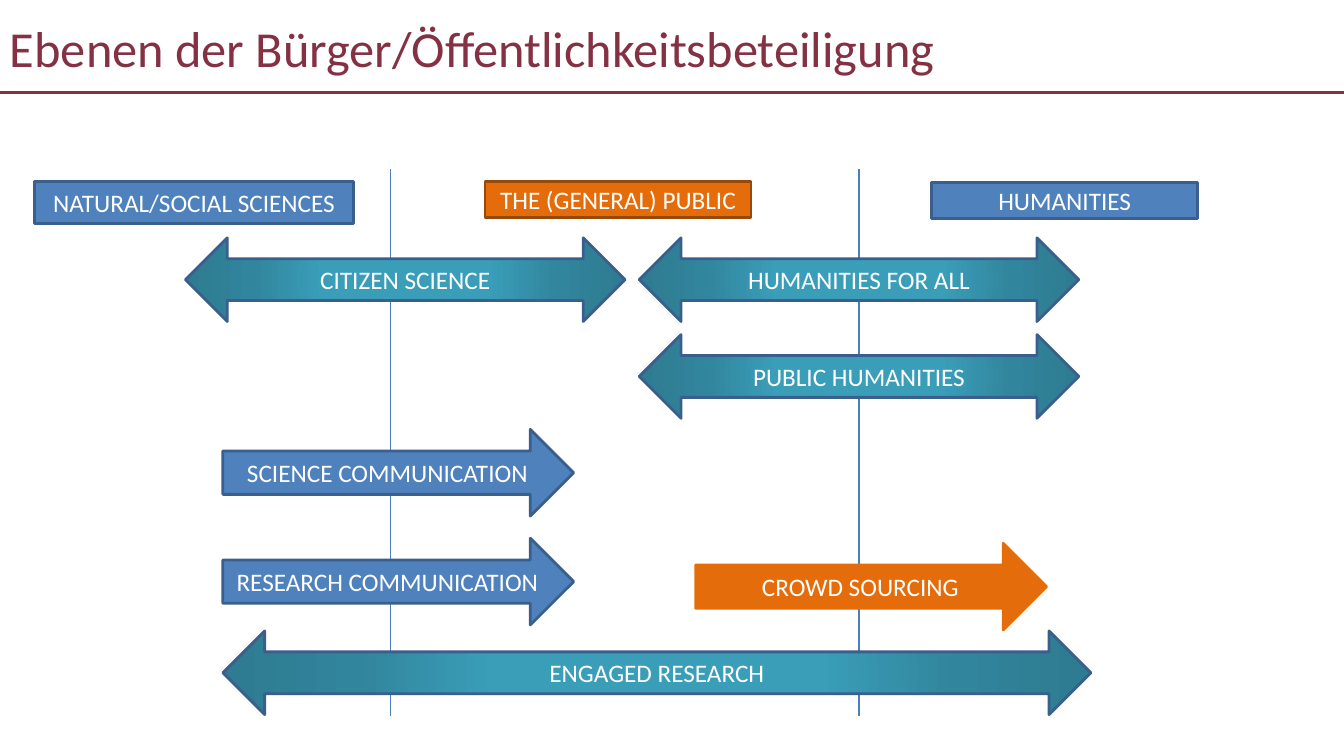
from pptx import Presentation
from pptx.dml.color import RGBColor
from pptx.enum import shapes, text
from pptx.oxml import parse_xml
from pptx.oxml.ns import nsdecls, qn
from pptx.util import Inches, Pt

WINE = RGBColor(0x84, 0x31, 0x44)
BLUE = RGBColor(0x4F, 0x81, 0xBD)
NAVY = RGBColor(0x3A, 0x5F, 0x8C)
DIVIDER = RGBColor(0x4B, 0x7E, 0xBC)
ORANGE = RGBColor(0xE4, 0x6C, 0x0A)
BROWN = RGBColor(0x98, 0x48, 0x07)
WHITE = RGBColor(0xFF, 0xFF, 0xFF)
TEAL_STOPS = [(37, "3A9EB9"), (69, "31859C"), (97, "2E7C91")]

WIDTH, HEIGHT = 13.33, 7.5
FONT = "Calibri"
BOX = shapes.MSO_SHAPE.RECTANGLE
RIGHT = shapes.MSO_SHAPE.RIGHT_ARROW
BOTH = shapes.MSO_SHAPE.LEFT_RIGHT_ARROW


def add_line(s, x1, y1, x2, y2, color, width):
    line = s.shapes.add_connector(shapes.MSO_CONNECTOR.STRAIGHT,
                                  *[Inches(v) for v in (x1, y1, x2, y2)])
    line.line.color.rgb = color
    line.line.width = Pt(width)
    line._element.spPr.append(parse_xml(f"<a:effectLst {nsdecls('a')}/>"))


def write(sp, words, size, color, align):
    tf = sp.text_frame
    tf.word_wrap = True
    tf.vertical_anchor = text.MSO_ANCHOR.MIDDLE
    p = tf.paragraphs[0]
    p.alignment = align
    r = p.add_run()
    r.text = words
    r.font.name, r.font.size = FONT, Pt(size)
    r.font.color.rgb = color


def fill_teal(sp):
    """Circular gradient from the centre outwards."""
    stops = "".join(f'<a:gs pos="{pos * 1000}"><a:srgbClr val="{rgb}"/></a:gs>'
                    for pos, rgb in TEAL_STOPS)
    sp.fill.solid()
    spPr = sp._element.spPr
    spPr.replace(spPr.find(qn("a:solidFill")), parse_xml(
        f'<a:gradFill {nsdecls("a")} rotWithShape="1"><a:gsLst>{stops}</a:gsLst>'
        '<a:path path="circle"><a:fillToRect l="50000" t="50000" r="50000" b="50000"/>'
        '</a:path></a:gradFill>'))


def add_label(s, kind, words, x, y, w, h, fill=None, outline=NAVY):
    sp = s.shapes.add_shape(kind, *[Inches(v) for v in (x, y, w, h)])
    sp.shadow.inherit = False
    if fill is None:
        fill_teal(sp)
    else:
        sp.fill.solid()
        sp.fill.fore_color.rgb = fill
    sp.line.color.rgb = outline
    sp.line.width = Pt(2)
    write(sp, words, 18, WHITE, text.PP_ALIGN.CENTER)


def add_title(s, x, y, w, h):
    add_line(s, x, y + h - 0.02, x + WIDTH, y + h - 0.02, WINE, 2.5)
    sp = s.shapes.add_textbox(*[Inches(v) for v in (x, y, w, h)])
    write(sp, "Ebenen der Bürger/Öffentlichkeitsbeteiligung", 36, WINE,
          text.PP_ALIGN.LEFT)


def add_diagram(s, x, y, h):
    # Dividers between the three areas
    for dx in (3.53, 8.18):
        add_line(s, x + dx, y, x + dx, y + h, DIVIDER, 0.75)

    # Area headings
    for words, dx, dy, w, bh, fill, outline in [
            ("NATURAL/SOCIAL SCIENCES", 0, 0.12, 3.17, 0.42, BLUE, NAVY),
            ("THE (GENERAL) PUBLIC", 4.47, 0.12, 2.64, 0.36, ORANGE, BROWN),
            ("HUMANITIES", 8.9, 0.13, 2.64, 0.36, BLUE, NAVY)]:
        add_label(s, BOX, words, x + dx, y + dy, w, bh, fill, outline)

    # One-way arrows
    for words, dx, dy, fill, outline in [
            ("SCIENCE COMMUNICATION", 1.87, 2.58, BLUE, NAVY),
            ("RESEARCH COMMUNICATION", 1.87, 3.66, BLUE, NAVY),
            ("CROWD SOURCING", 6.56, 3.71, ORANGE, ORANGE)]:
        add_label(s, RIGHT, words, x + dx, y + dy, 3.48, 0.86, fill, outline)

    # Two-way arrows
    for words, dx, dy, w in [
            ("CITIZEN SCIENCE", 1.5, 0.68, 4.36),
            ("HUMANITIES FOR ALL", 6, 0.68, 4.36),
            ("PUBLIC HUMANITIES", 6, 1.64, 4.36),
            ("ENGAGED RESEARCH", 1.87, 4.58, 8.61)]:
        add_label(s, BOTH, words, x + dx, y + dy, w, 0.83)


def main():
    prs = Presentation()
    prs.slide_width, prs.slide_height = Inches(WIDTH), Inches(HEIGHT)
    s = prs.slides.add_slide(prs.slide_layouts[6])
    add_title(s, 0, 0, 12, 0.94)
    add_diagram(s, 0.34, 1.68, 5.42)
    prs.save("out.pptx")


if __name__ == "__main__":
    main()
